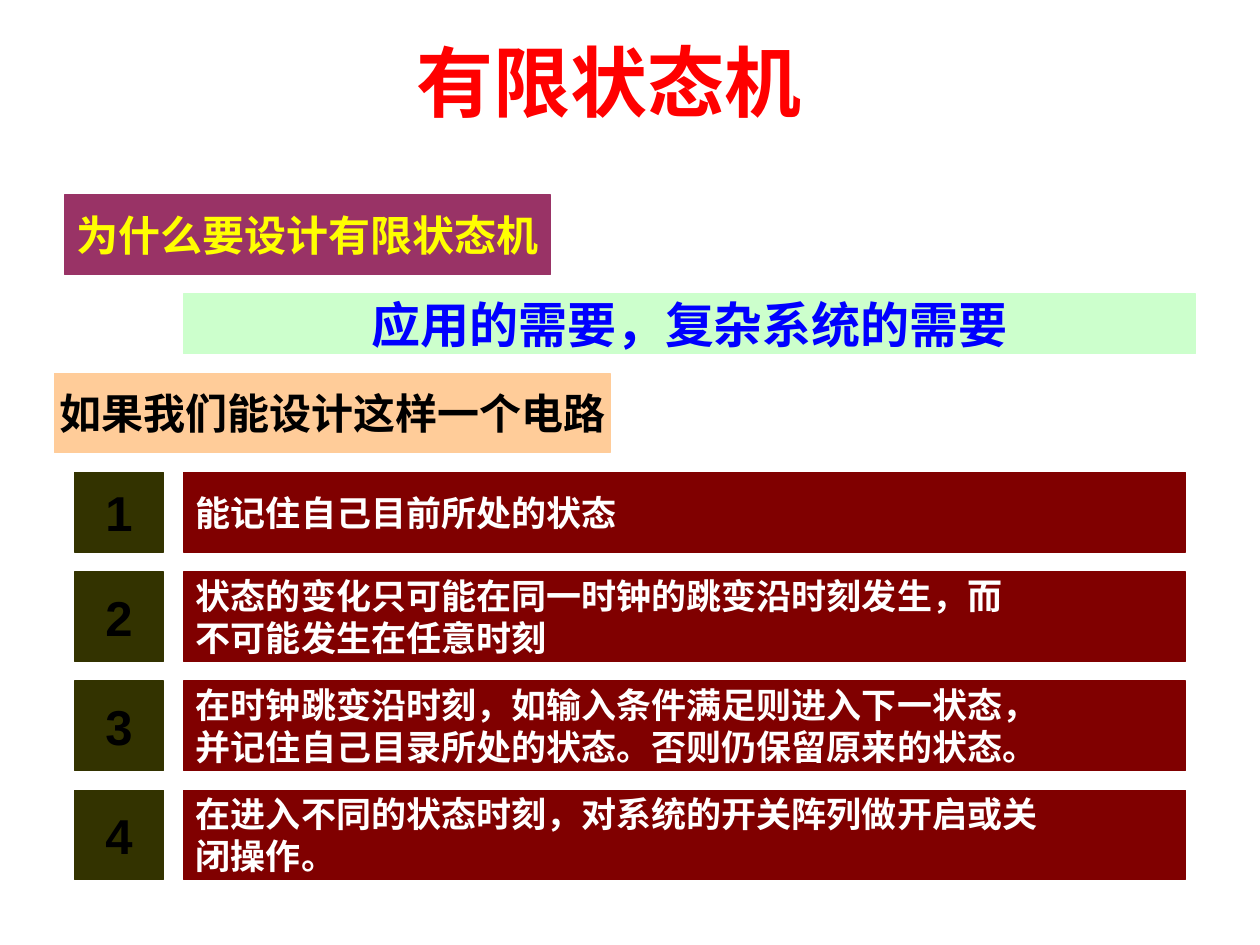
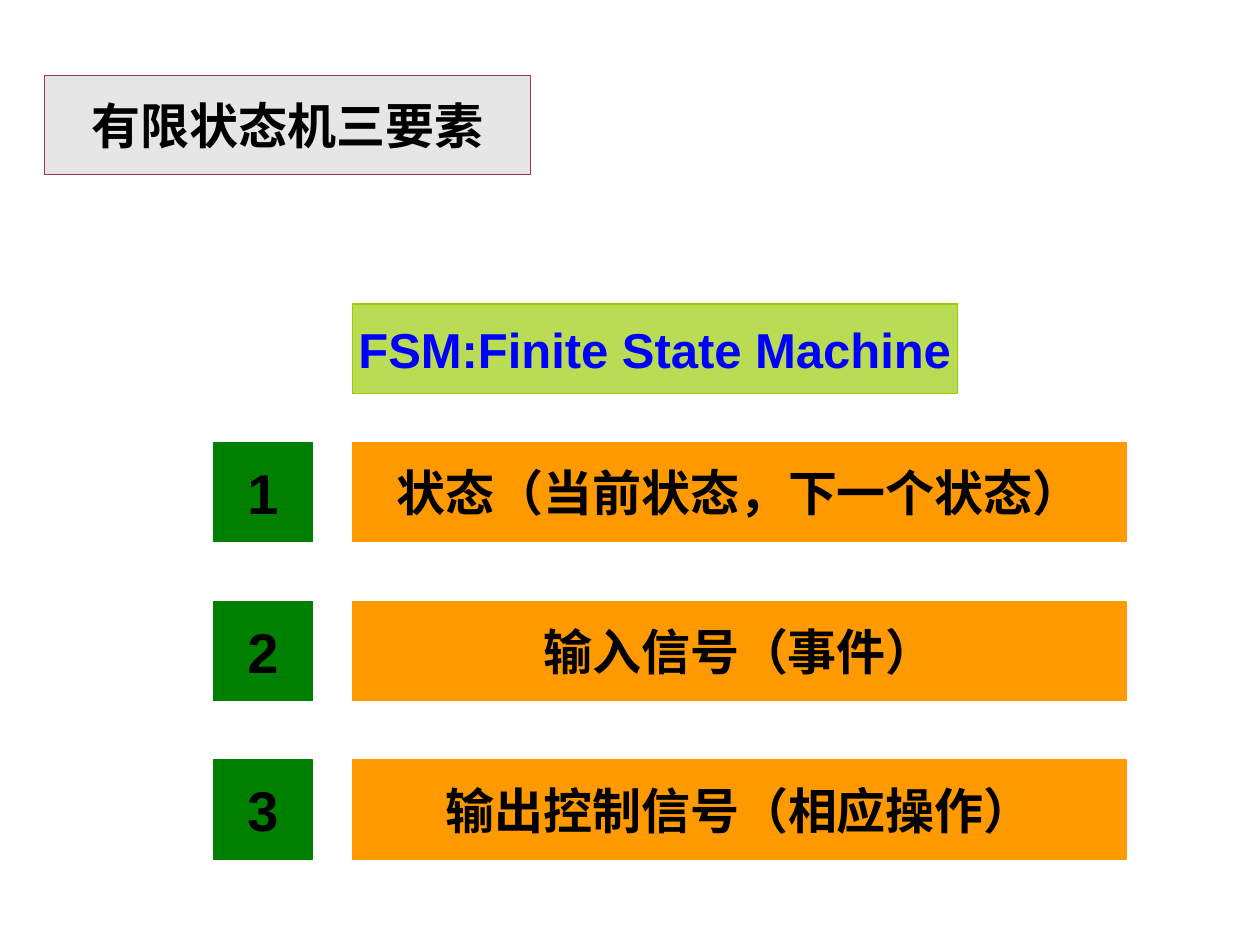
"""Build two slides on finite state machines, laid out on a centimetre grid."""
from pptx import Presentation
from pptx.dml.color import RGBColor
from pptx.enum.shapes import MSO_SHAPE
from pptx.enum.text import MSO_ANCHOR, MSO_AUTO_SIZE, PP_ALIGN
from pptx.oxml.ns import qn
from pptx.util import Cm, Inches, Pt
from lxml.etree import SubElement

FONT = "Arial"
BLACK, WHITE, BLUE, YELLOW, RED = "000000", "FFFFFF", "0000FF", "FFFF00", "FF0000"
PLUM, MINT, PEACH, MAROON, OLIVE = "993366", "CCFFCC", "FFCC99", "800000", "333300"
GRAY, LIME, ORANGE, GREEN = "E7E6E6", "99CC00", "FF9900", "008000"


def write(frame, lines, size, color, align):
    for index, line in enumerate(lines):
        paragraph = frame.paragraphs[0] if index == 0 else frame.add_paragraph()
        paragraph.alignment = align
        run = paragraph.add_run()
        run.text = line
        run.font.name = FONT
        run.font.size = Pt(size)
        run.font.bold = True
        run.font.color.rgb = RGBColor.from_string(color)


def panel(slide, box, fill, lines, size, color, align=PP_ALIGN.CENTER, border=None):
    shape = slide.shapes.add_shape(MSO_SHAPE.RECTANGLE, *[Cm(side) for side in box])
    shape.shadow.inherit = False
    shape.fill.solid()
    shape.fill.fore_color.rgb = RGBColor.from_string(fill)
    shape.line.color.rgb = RGBColor.from_string(border or fill)
    shape.line.width = Pt(0.75)
    frame = shape.text_frame
    frame.vertical_anchor = MSO_ANCHOR.MIDDLE
    frame.word_wrap = align == PP_ALIGN.LEFT
    write(frame, lines, size, color, align)
    return shape


deck = Presentation()
deck.slide_width, deck.slide_height = Inches(10), Inches(7.5)
blank = deck.slide_layouts[6]

reasons = deck.slides.add_slide(blank)
title = reasons.shapes.add_textbox(Cm(8.15), Cm(0.58), Cm(8.28), Cm(2.13)).text_frame
title.word_wrap = False
title.auto_size = MSO_AUTO_SIZE.SHAPE_TO_FIT_TEXT
write(title, ["有限状态机"], 44, RED, PP_ALIGN.LEFT)

gap = 0.4
top = 3.93
headings = [
    (1.3, 9.8, 1.6, PLUM, "为什么要设计有限状态机", 24, YELLOW),
    (3.7, 20.4, 1.2, MINT, "应用的需要，复杂系统的需要", 28, BLUE),
    (1.1, 11.2, 1.6, PEACH, "如果我们能设计这样一个电路", 24, BLACK),
]
for left, width, height, fill, heading, size, color in headings:
    panel(reasons, (left, top, width, height), fill, [heading], size, color)
    top += height + gap

abilities = [
    ["能记住自己目前所处的状态"],
    ["状态的变化只可能在同一时钟的跳变沿时刻发生，而", "不可能发生在任意时刻"],
    ["在时钟跳变沿时刻，如输入条件满足则进入下一状态，",
     "并记住自己目录所处的状态。否则仍保留原来的状态。"],
    ["在进入不同的状态时刻，对系统的开关阵列做开启或关", "闭操作。"],
]
for number, ability in enumerate(abilities, 1):
    height = 1.6 if len(ability) == 1 else 1.8
    panel(reasons, (1.5, top, 1.8, height), OLIVE, [str(number)], 28, BLACK)
    panel(reasons, (3.7, top, 20.2, height), MAROON, ability, 20, WHITE, PP_ALIGN.LEFT)
    top += height + gap

elements = deck.slides.add_slide(blank)
panel(elements, (0.9, 1.52, 9.8, 2), GRAY, ["有限状态机三要素"], 28, BLACK, border=PLUM)
full_name = panel(elements, (7.1, 6.13, 12.2, 1.8), LIME,
                  ["FSM:Finite State Machine"], 28, BLUE)
lime = full_name.fill._xPr.find(qn("a:solidFill")).find(qn("a:srgbClr"))
SubElement(lime, qn("a:alpha")).set("val", "67000")

for row, element in enumerate(
        ["状态（当前状态，下一个状态）", "输入信号（事件）", "输出控制信号（相应操作）"]):
    top = 8.92 + 3.2 * row
    panel(elements, (4.3, top, 2, 2), GREEN, [str(row + 1)], 32, BLACK)
    panel(elements, (7.1, top, 15.6, 2), ORANGE, [element], 28, BLACK)

deck.save("out.pptx")
